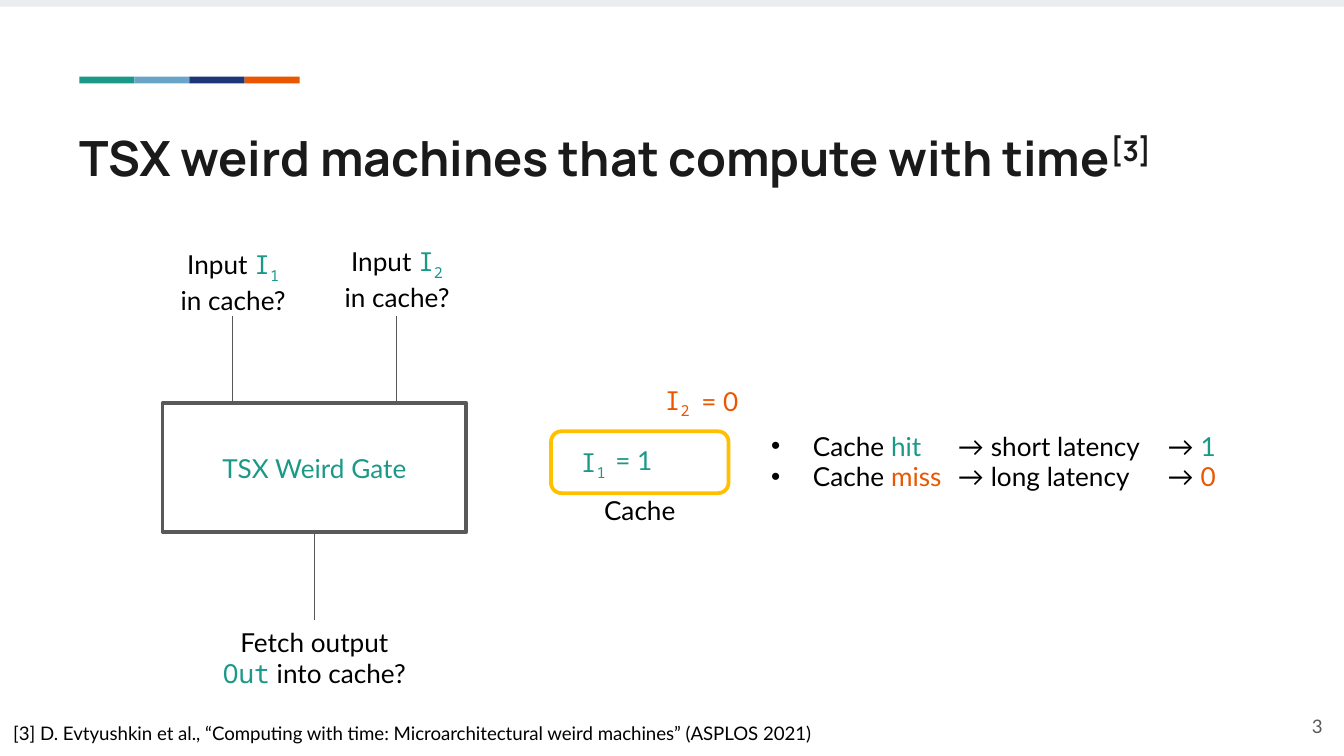
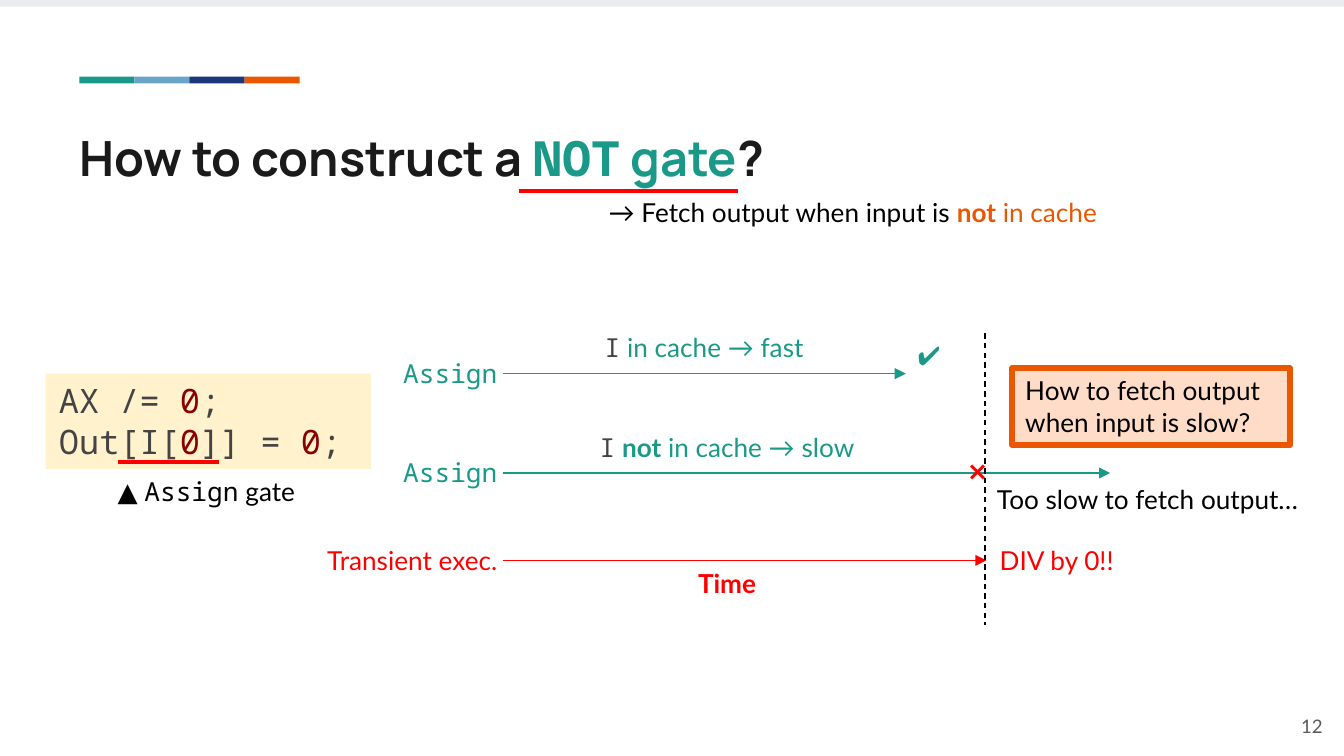
from typing import NamedTuple

from lxml.etree import SubElement
from pptx import Presentation
from pptx.dml.color import RGBColor
from pptx.enum.dml import MSO_LINE
from pptx.enum.shapes import MSO_CONNECTOR, MSO_SHAPE as SHAPE
from pptx.enum.text import MSO_ANCHOR as ANCHOR, MSO_AUTO_SIZE as FIT, PP_ALIGN as ALIGN
from pptx.oxml.ns import qn
from pptx.util import Inches, Pt

WIDTH = 10
HEIGHT = WIDTH * 9 / 16
BLACK = RGBColor(0x00, 0x00, 0x00)
INK = RGBColor(0x1A, 0x1A, 0x1A)
CODE_GREY = RGBColor(0x44, 0x44, 0x44)
WIRE = RGBColor(0x57, 0x57, 0x57)
GREY = RGBColor(0x59, 0x59, 0x59)
MIST = RGBColor(0xE9, 0xED, 0xEE)
WHITE = RGBColor(0xFF, 0xFF, 0xFF)
TEAL = RGBColor(0x1A, 0x99, 0x88)
SKY = RGBColor(0x6A, 0xA4, 0xC8)
NAVY = RGBColor(0x1C, 0x36, 0x78)
ORANGE = RGBColor(0xEB, 0x56, 0x00)
PEACH = RGBColor(0xFF, 0xDC, 0xC8)
GOLD = RGBColor(0xFF, 0xC0, 0x00)
CREAM = RGBColor(0xFF, 0xF2, 0xCC)
RED = RGBColor(0xFF, 0x00, 0x00)
MAROON = RGBColor(0x88, 0x00, 0x00)
BODY, HEADING, MONO = "Lato", "Manrope", "Noto Sans Mono"
LINE_HEIGHT = 0.34
MARGIN = 0.59


class Span(NamedTuple):
    text: str
    color: RGBColor = BLACK
    font: str = BODY
    bold: bool = False
    baseline: int = 0


def heading(text, color=INK, font=HEADING, baseline=0):
    return Span(text, color, font, True, baseline)


def code(text, color=TEAL, baseline=0):
    return Span(text, color, MONO, False, baseline)


def indexed(number, color=TEAL):
    """The input I with a subscript."""
    return [code("I", color), code(number, color, -25000)]


# Slide 1
WEIRD_TITLE = [heading("TSX weird machines that compute with time"),
               heading("[3]", baseline=30000)]
CITATION = ("[3] D. Evtyushkin et al., “Computing with time: "
            "Microarchitectural weird machines” (ASPLOS 2021)")
GATE = (1.21, 3, 2.26, 0.96)
WIRE_LENGTH = 0.65
INPUTS = [("1", 1.73, 1.8), ("2", 2.95, 1.78)]  # index, wire x, label top
OUTPUT = [Span("Fetch output "), code("Out"), Span(" into cache?")]
CACHE = (4.1, 3.21, 1.32, 0.46)
CACHE_STATES = [  # index, value, colour, symbol box, value position
    ("1", "= 1", TEAL, (4.17, 3.27, 0.49), (4.48, 3.26)),
    ("2", "= 0", ORANGE, (4.79, 2.81, 0.5), (5.12, 2.82)),
]
LATENCY_COLUMNS = [(5.64, 1.56), (7.03, 1.56), (8.59, 0.61)]  # left, width
LATENCY_TOP, LATENCY_STEP = 3.15, 0.23
LATENCIES = [("hit", "short", "1", TEAL), ("miss", "long", "0", ORANGE)]

# Slide 2
NOT_TITLE = [heading("How to construct a "), heading("NOT", TEAL, MONO),
             heading(" gate", TEAL), heading("?")]
GOAL = [Span("→ Fetch output when input is "), Span("not", ORANGE, bold=True),
        Span(" in cache", ORANGE)]
ASSIGN_CODE = [code("AX /= ", CODE_GREY), code("0", MAROON),
               code(";\nOut[I[", CODE_GREY), code("0", MAROON),
               code("]] = ", CODE_GREY), code("0", MAROON), code(";", CODE_GREY)]
CODE_CAPTION = [Span("▲ "), code("Assign", BLACK), Span(" gate ")]
TIME_START, DEADLINE = 3.74, 7.33
TIMELINES = [  # name, name width, y, arrow end, colour
    (code("Assign"), 0.91, 2.78, 6.74, TEAL),
    (code("Assign"), 0.91, 3.52, 8.26, TEAL),
    (Span("Transient exec.", RED), 1.64, 4.17, 7.34, RED),
]
TIMELINE_NOTES = [  # left, top, width, alignment, spans
    (TIME_START, 2.42, 3, ALIGN.CENTER,
     [code("I", CODE_GREY), Span(" in cache → fast", TEAL)]),
    (TIME_START, 3.16, 3.34, ALIGN.CENTER,
     [code("I", CODE_GREY), Span(" "), Span("not", TEAL, bold=True),
      Span(" in cache → slow", TEAL)]),
    (4.07, 4.17, 2.68, ALIGN.CENTER, [Span("Time", RED, bold=True)]),
    (6.73, 2.48, 0.59, ALIGN.LEFT, [Span("✔️", TEAL)]),
    (7.11, 3.34, 0.42, ALIGN.LEFT, [Span("❌", RED)]),
    (7.34, 4, 1.08, ALIGN.LEFT, [Span("DIV by 0!!", RED)]),
    (7.32, 3.55, 3.17, ALIGN.LEFT, [Span("Too slow to fetch output…")]),
]
QUESTION = "How to fetch output when input is slow?"
UNDERLINES = [(0.88, 1.63, 3.44), (3.86, 5.49, 1.42)]  # start, end, y


def write(frame, spans, size=14, align=ALIGN.LEFT, anchor=ANCHOR.TOP, fit=FIT.NONE):
    frame.word_wrap = True
    frame.auto_size = fit
    frame.vertical_anchor = anchor
    para = frame.paragraphs[0]
    para.alignment = align
    for span in spans:
        for number, piece in enumerate(span.text.split("\n")):
            if number:
                para.add_line_break()
            run = para.add_run()
            run.text = piece
            run.font.size = Pt(size)
            run.font.name = span.font
            run.font.bold = span.bold
            run.font.color.rgb = span.color
            if span.baseline:
                run._r.get_or_add_rPr().set("baseline", str(span.baseline))
    return para


def label(page, left, top, width, spans, align=ALIGN.LEFT, height=LINE_HEIGHT, size=14):
    box = page.shapes.add_textbox(*map(Inches, (left, top, width, height)))
    return write(box.text_frame, spans, size, align, fit=FIT.SHAPE_TO_FIT_TEXT)


def block(page, area, fill=None, border=None, weight=2, kind=SHAPE.RECTANGLE):
    shape = page.shapes.add_shape(kind, *map(Inches, area))
    shape.shadow.inherit = False
    if fill is None:
        shape.fill.background()
    else:
        shape.fill.solid()
        shape.fill.fore_color.rgb = fill
    if border is None:
        shape.line.fill.background()
    else:
        shape.line.color.rgb = border
        shape.line.width = Pt(weight)
    return shape


def stroke(page, start, end, color, weight=0.75, arrow=False, dashed=False):
    line = page.shapes.add_connector(MSO_CONNECTOR.STRAIGHT, *map(Inches, start + end))
    line.line.color.rgb = color
    line.line.width = Pt(weight)
    if dashed:
        line.line.dash_style = MSO_LINE.DASH
    if arrow:
        SubElement(line.line._get_or_add_ln(), qn("a:tailEnd"), type="triangle")
    SubElement(line._element.spPr, qn("a:effectLst"))


def add_bullet(para):
    properties = para._p.get_or_add_pPr()
    properties.set("marL", str(Inches(0.31)))
    properties.set("indent", str(Inches(-0.31)))
    color = SubElement(properties, qn("a:buClr"))
    SubElement(color, qn("a:srgbClr"), val=str(BLACK))
    SubElement(properties, qn("a:buFont"), typeface="Arial")
    SubElement(properties, qn("a:buChar"), char="•")


def new_page(deck, title_spans, number):
    """Title-only slide with the top band, colour stripe and page number."""
    page = deck.slides.add_slide(deck.slide_layouts[5])
    block(page, (0, 0, WIDTH, 0.05), MIST)
    stripe = 0.41
    for column, color in enumerate((TEAL, SKY, NAVY, ORANGE)):
        block(page, (MARGIN + column * stripe, 0.57, stripe, 0.05), color)

    title = page.shapes.title
    title.left, title.top, title.width, title.height = map(
        Inches, (MARGIN, 0.85, 8.75, 0.59))
    frame = title.text_frame
    frame.margin_left = 0
    frame.margin_right = frame.margin_top = frame.margin_bottom = Inches(0.1)
    write(frame, title_spans, size=26)

    corner = page.shapes.add_textbox(*map(Inches, (9.34, 5.19, 0.6, 0.43)))
    write(corner.text_frame, [Span(str(number), GREY)], 10, ALIGN.RIGHT, ANCHOR.MIDDLE)
    return page


def build_weird_machines(deck):
    page = new_page(deck, WEIRD_TITLE, 3)
    label(page, 0, 5.32, 9.68, [Span(CITATION)], height=0.27, size=10)

    left, top, width, height = GATE
    gate = block(page, GATE, WHITE, GREY)
    write(gate.text_frame, [Span("TSX Weird Gate", TEAL)],
          align=ALIGN.CENTER, anchor=ANCHOR.MIDDLE)
    for index, x, label_top in INPUTS:
        stroke(page, (x, top), (x, top - WIRE_LENGTH), WIRE)
        spans = [Span("Input "), *indexed(index), Span(" in cache?")]
        label(page, x - 0.49, label_top, 0.99, spans, ALIGN.CENTER, 0.57)
    center, bottom = left + width / 2, top + height
    stroke(page, (center, bottom + WIRE_LENGTH), (center, bottom), WIRE)
    label(page, center - 0.83, bottom + WIRE_LENGTH, 1.66, OUTPUT, ALIGN.CENTER, 0.57)

    block(page, CACHE, border=GOLD, kind=SHAPE.ROUNDED_RECTANGLE)
    label(page, CACHE[0], 3.63, CACHE[2], [Span("Cache")], ALIGN.CENTER)
    for index, value, color, symbol_box, value_at in CACHE_STATES:
        label(page, *symbol_box, indexed(index, color), ALIGN.CENTER)
        label(page, *value_at, 1.05, [Span(value, color)])

    for row, (event, speed, bit, color) in enumerate(LATENCIES):
        cells = ([Span("Cache "), Span(event, color)],
                 [Span(f"→ {speed} latency")],
                 [Span("→ "), Span(bit, color)])
        y = LATENCY_TOP + row * LATENCY_STEP
        paras = [label(page, x, y, cell_width, spans)
                 for (x, cell_width), spans in zip(LATENCY_COLUMNS, cells)]
        add_bullet(paras[0])


def build_not_gate(deck):
    page = new_page(deck, NOT_TITLE, 12)
    label(page, 4.43, 1.41, 4.64, GOAL)

    listing = block(page, (0.34, 2.78, 2.42, 0.71), CREAM)
    write(listing.text_frame, ASSIGN_CODE, size=18, fit=FIT.SHAPE_TO_FIT_TEXT)
    label(page, MARGIN, 3.49, 1.94, CODE_CAPTION, ALIGN.CENTER)

    for name, width, y, end, color in TIMELINES:
        stroke(page, (TIME_START, y), (end, y), color, arrow=True)
        label(page, TIME_START + 0.06 - width, y - LINE_HEIGHT / 2, width,
              [name], ALIGN.RIGHT)
    stroke(page, (DEADLINE, 2.48), (DEADLINE, 4.65), BLACK, dashed=True)
    for left, top, width, align, spans in TIMELINE_NOTES:
        label(page, left, top, width, spans, align)

    callout = block(page, (7.53, 2.74, 2.07, 0.57), PEACH, ORANGE, 3)
    write(callout.text_frame, [Span(QUESTION)], fit=FIT.SHAPE_TO_FIT_TEXT)
    for start, end, y in UNDERLINES:
        stroke(page, (start, y), (end, y), RED, 2.25)


def main():
    deck = Presentation()
    deck.slide_width, deck.slide_height = Inches(WIDTH), Inches(HEIGHT)
    build_weird_machines(deck)
    build_not_gate(deck)
    deck.save("out.pptx")


if __name__ == "__main__":
    main()
